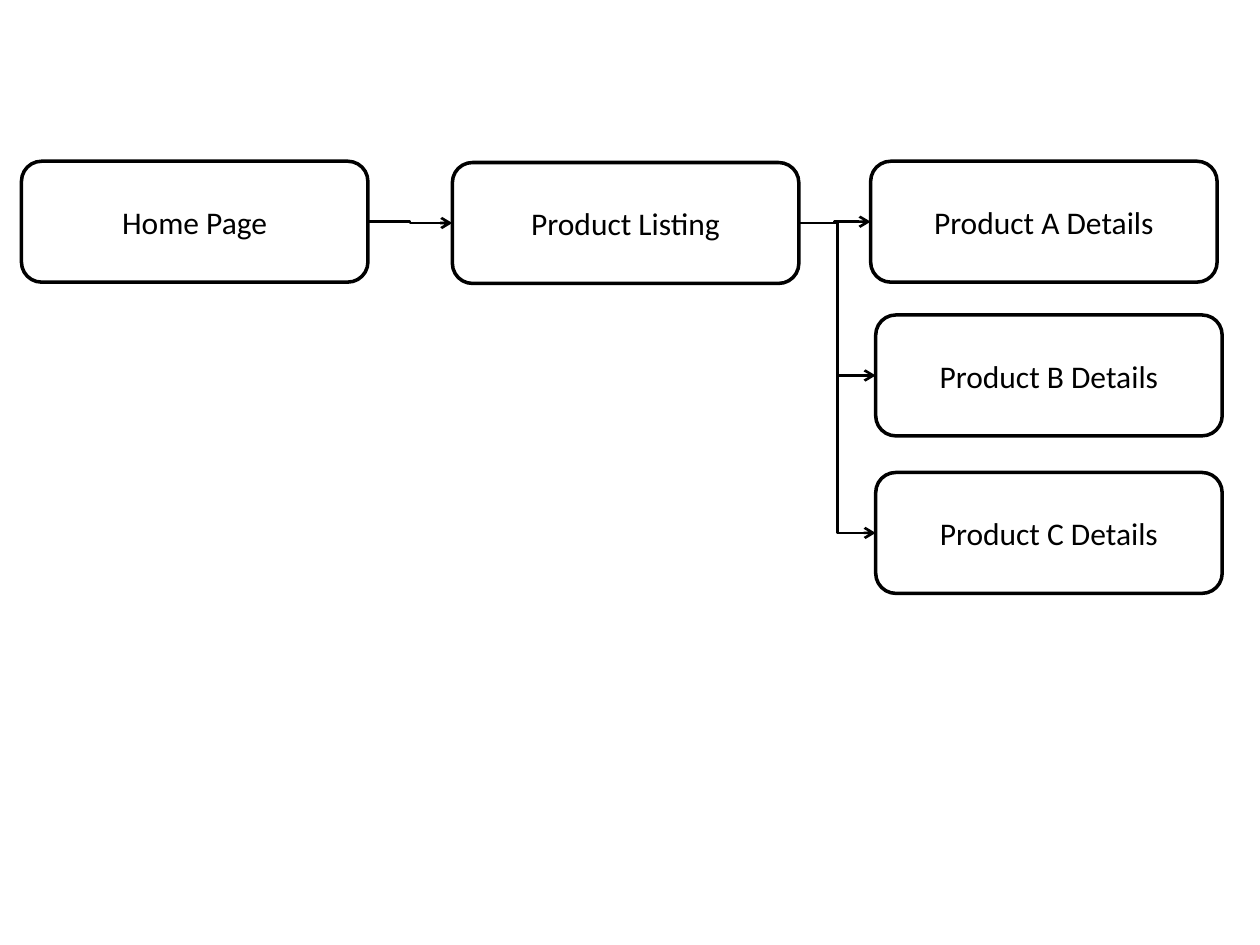
"""Draw a site map from the home page to the product pages."""
from typing import NamedTuple

from lxml import etree
from pptx import Presentation
from pptx import util as u
from pptx.dml.color import RGBColor
from pptx.enum import shapes, text
from pptx.oxml.ns import qn

WIDE, HIGH = 2.75, 0.96
LEFT, RIGHT = 1, 3
INK, PAPER = "000000", "FFFFFF"


class Page(NamedTuple):
    name: str
    left: float
    top: float


class Link(NamedTuple):
    start: str
    end: str


PAGES = [
    Page("Product Listing", 3.59, 1.29),
    Page("Home Page", 0.17, 1.28),
    Page("Product A Details", 6.91, 1.28),
    Page("Product B Details", 6.95, 2.5),
    Page("Product C Details", 6.95, 3.75),
]
LINKS = [Link("Home Page", "Product Listing")] + [
    Link("Product Listing", f"Product {key} Details") for key in "ABC"
]


def paint(color, code: str) -> None:
    color.rgb = RGBColor.from_string(code)


def stroke(line, width: float) -> None:
    line.width = u.Pt(width)
    line.fill.solid()
    paint(line.fill.fore_color, INK)


def add_page(slide, page: Page):
    box = slide.shapes.add_shape(
        shapes.MSO_SHAPE.ROUNDED_RECTANGLE,
        u.Inches(page.left), u.Inches(page.top), u.Inches(WIDE), u.Inches(HIGH))
    box.shadow.inherit = False
    box.fill.solid()
    paint(box.fill.fore_color, PAPER)
    stroke(box.line, 2)
    frame = box.text_frame
    frame.text = page.name
    frame.vertical_anchor = text.MSO_ANCHOR.MIDDLE
    para = frame.paragraphs[0]
    para.alignment = text.PP_ALIGN.CENTER
    font = para.runs[0].font
    font.name, font.size = "Calibri", u.Pt(18)
    paint(font.color, INK)
    return box


def add_link(slide, start, end) -> None:
    wire = slide.shapes.add_connector(
        shapes.MSO_CONNECTOR.ELBOW,
        start.left + start.width, start.top + start.height // 2,
        end.left, end.top + end.height // 2)
    wire.begin_connect(start, RIGHT)
    wire.end_connect(end, LEFT)
    stroke(wire.line, 1.5)
    etree.SubElement(wire.line._get_or_add_ln(), qn("a:tailEnd"), type="arrow")
    etree.SubElement(wire._element.spPr, qn("a:effectLst"))


def main() -> None:
    deck = Presentation()
    deck.slide_width, deck.slide_height = u.Inches(10), u.Inches(7.5)
    slide = deck.slides.add_slide(deck.slide_layouts[6])
    boxes = {page.name: add_page(slide, page) for page in PAGES}
    for link in LINKS:
        add_link(slide, boxes[link.start], boxes[link.end])
    deck.save("out.pptx")


main()
